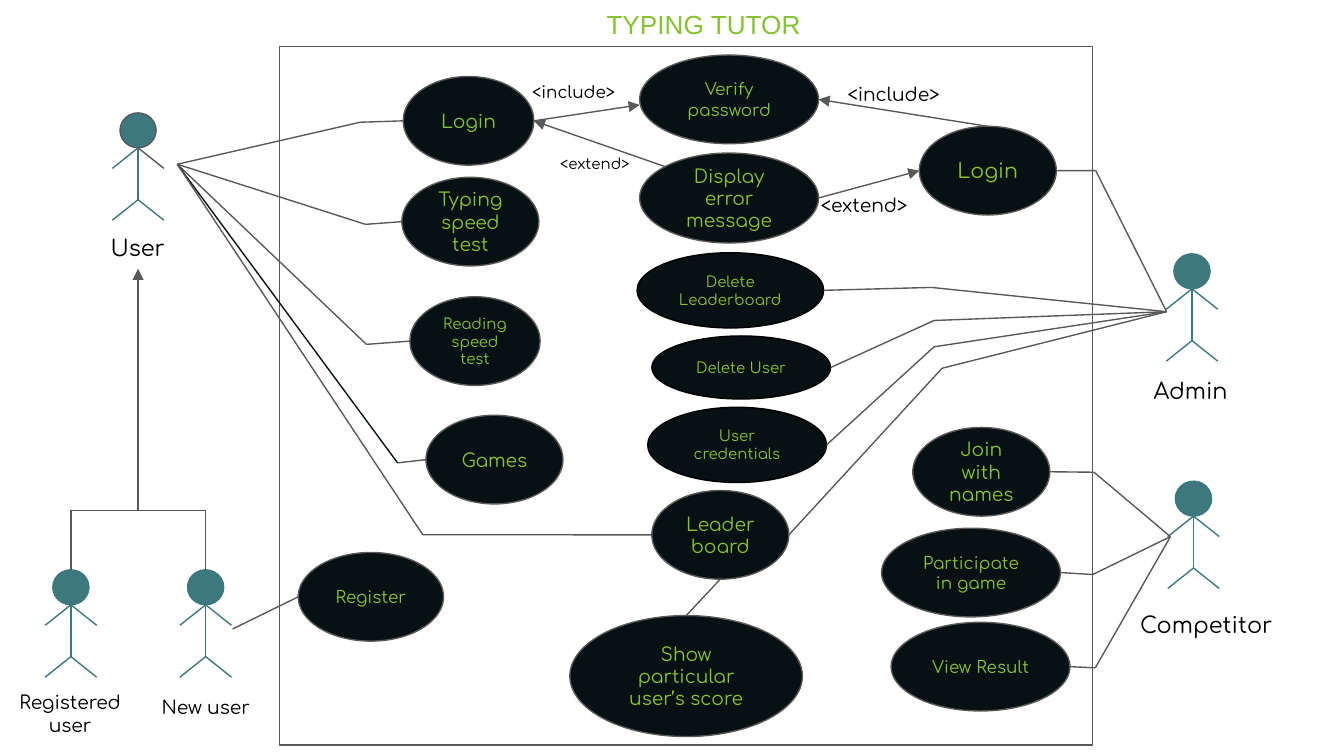
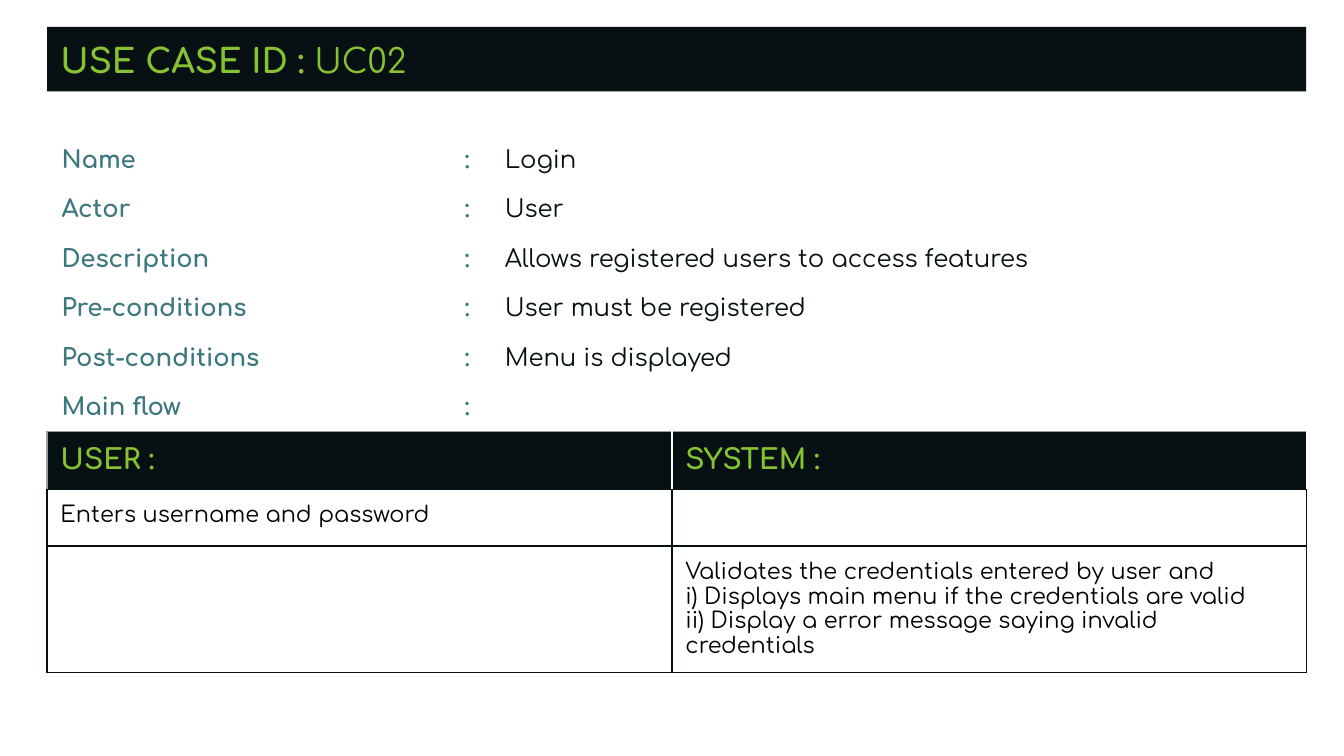
from lxml import etree
from pptx import Presentation
from pptx.dml.color import RGBColor
from pptx.enum import shapes, text
from pptx.oxml.ns import qn
from pptx.util import Pt

DARK, GREEN, TEAL, GREY = "071013", "86C232", "3C787E", "595959"
BLACK, WHITE, SILVER = "000000", "FFFFFF", "9E9E9E"
FONT = "Comfortaa"
LINE_WIDTH = Pt(0.75)
INSET = Pt(7.2)
CENTER, LEFT = text.PP_ALIGN.CENTER, text.PP_ALIGN.LEFT

# key: (text, left, top, width, height, font size, outline)
USE_CASES = {
    "login": ("Login", 216, 41, 70, 47.5, 10, GREY),
    "verify": ("Verify password", 342.7, 29.5, 95.8, 47.5, 9, GREY),
    "error": ("Display error message", 342.7, 82, 95.8, 48.2, 10, GREY),
    "typing": ("Typing speed test", 215.3, 95, 73.4, 47.5, 10, GREY),
    "reading": ("Reading speed test", 219.6, 159, 69.8, 47.5, 8, GREY),
    "games": ("Games", 228.2, 222.5, 73.4, 47.5, 10, GREY),
    "board": ("Leaderboard", 349.2, 262.8, 73.4, 47.5, 10, GREY),
    "admin login": ("Login", 492.5, 67.7, 73.4, 47.5, 11, GREY),
    "register": ("Register", 159.8, 296, 77.8, 47.5, 9, GREY),
    "participate": ("Participate in game", 472.3, 283, 95.8, 47.5, 9, GREY),
    "join": ("Join with names", 489, 229, 73.4, 47.5, 10, GREY),
    "score": ("Show particular user’s score", 305.3, 329.8, 124.6, 64.8, 10, GREY),
    "result": ("View Result", 477.4, 333.4, 95.8, 47.5, 9, GREY),
    "credentials": ("User credentials", 347, 218.2, 95.8, 40.3, 8, BLACK),
    "delete board": ("Delete Leaderboard", 341.3, 135.4, 100, 40.3, 8, BLACK),
    "delete user": ("Delete User", 349.2, 180, 95.8, 33.8, 8, BLACK),
}

# centre, head top, colour of the head outline and right arm
ACTORS = [
    (74, 60.5, GREY),
    (38, 305.3, TEAL),
    (110.2, 305.3, TEAL),
    (638.6, 136, TEAL),
    (639.4, 257.8, TEAL),
]

# text, left, top, width, height, font size, alignment
LABELS = [
    ("<extend>", 293, 75.6, 73.4, 18.7, 8, LEFT),
    ("<include>", 278, 36.7, 71.3, 22.3, 9, LEFT),
    ("<extend>", 432.7, 96.5, 73.4, 18.7, 10, LEFT),
    ("<include>", 447, 37.4, 73.4, 32.4, 10, LEFT),
    ("Registered user", -1.4, 363, 77.8, 23.8, 10, CENTER),
    ("New user", 71.3, 365.8, 77.8, 18, 10, CENTER),
    ("User", 49, 118, 49.7, 15, 12, CENTER),
    ("Admin", 604, 195, 67.7, 15, 12, CENTER),
    ("Competitor", 592.6, 320.4, 107.3, 27.4, 12, CENTER),
]

# Each fan: the actor's hand, the side it joins, then (bend, use case, colour of first leg)
FANS = [
    ((95, 88), "left", [
        ((193, 65.5), "login", GREY),
        ((195.8, 120.2), "typing", GREY),
        ((196.3, 184.5), "reading", GREY),
        ((213, 248), "games", DARK),
        ((226.5, 286.5), "board", GREY),
    ]),
    ((625, 167), "right", [
        ((587, 91.4), "admin login", GREY),
        ((499, 154), "delete board", GREY),
        ((500.4, 171.7), "delete user", GREY),
        ((500.4, 185.8), "credentials", GREY),
        ((504.7, 197.3), "board", GREY),
    ]),
    ((627, 287.5), "right", [
        ((586.1, 253), "join", GREY),
        ((585.4, 307.8), "participate", GREY),
        ((586.8, 357.8), "result", GREY),
    ]),
]

# start, end, arrowhead; a point is (x, y) or (use case, side)
LINKS = [
    ((356.4, 89.3), ("login", "right"), True),
    (("error", "right"), ("admin login", "left"), True),
    (("login", "right"), (342.7, 56.2), True),
    (("admin login", "top"), ("verify", "right"), True),
    ((124.6, 337), ("register", "left"), False),
    (("board", "bottom"), ("score", "top"), False),
    ((110.2, 305.3), (110.2, 273.4), False),
    ((110.2, 273.4), (38, 273.4), False),
    ((38, 305.3), (38, 273.4), False),
    ((74, 273.4), (74, 144), True),
]

DETAILS = [
    ("Name", "Login"),
    ("Actor", "User"),
    ("Description", "Allows registered users to access features"),
    ("Pre-conditions", "User must be registered"),
    ("Post-conditions", "Menu is displayed"),
    ("Main flow", ""),
]
FLOW = [
    ["USER :", "SYSTEM :"],
    ["Enters username and password", ""],
    ["", "Validates the credentials entered by user and\n"
         "i) Displays main menu if the credentials are valid\n"
         "ii) Display a error message saying invalid credentials"],
]
FLOW_COLUMNS = [334.8, 339.8]
FLOW_ROWS = [30.7, 30.4, 67.6]


def rgb(code):
    return RGBColor.from_string(code)


def style(r, size, color, bold=False, font=FONT):
    r.font.name, r.font.size, r.font.bold = font, Pt(size), bold
    r.font.color.rgb = rgb(color)


def write(tf, content, size, color, align=LEFT, bold=False, font=FONT):
    tf.text = content
    for p in tf.paragraphs:
        p.alignment = align
        for r in p.runs:
            style(r, size, color, bold, font)


def set_frame(tf, anchor=text.MSO_ANCHOR.TOP):
    tf.word_wrap = True
    tf.auto_size = text.MSO_AUTO_SIZE.NONE
    tf.vertical_anchor = anchor
    tf.margin_left = tf.margin_right = tf.margin_top = tf.margin_bottom = INSET


def place(sp, *box):
    sp.left, sp.top, sp.width, sp.height = map(Pt, box)


def add_box(s, *box):
    tf = s.shapes.add_textbox(*map(Pt, box)).text_frame
    set_frame(tf)
    return tf


def add_outlined(s, kind, box, fill, line):
    sp = s.shapes.add_shape(kind, *map(Pt, box))
    sp.shadow.inherit = False
    if fill:
        sp.fill.solid()
        sp.fill.fore_color.rgb = rgb(fill)
    else:
        sp.fill.background()
    sp.line.color.rgb, sp.line.width = rgb(line), LINE_WIDTH
    return sp


def add_line(s, start, end, color=GREY, arrow=False):
    cx = s.shapes.add_connector(shapes.MSO_CONNECTOR.STRAIGHT, *map(Pt, start + end))
    cx.line.color.rgb, cx.line.width = rgb(color), LINE_WIDTH
    if arrow:
        etree.SubElement(cx.line._get_or_add_ln(), qn("a:tailEnd"), type="triangle")
    etree.SubElement(cx._element.spPr, qn("a:effectLst"))


def point(x, y):
    """Turn (use case, side) into coordinates; leave coordinates as they are."""
    if x not in USE_CASES:
        return x, y
    left, top, width, height = USE_CASES[x][1:5]
    dx, dy = {"left": (0, 0.5), "right": (1, 0.5), "top": (0.5, 0), "bottom": (0.5, 1)}[y]
    return left + dx * width, top + dy * height


def add_actor(s, x, top, accent):
    add_outlined(s, shapes.MSO_SHAPE.OVAL, (x - 9.7, top, 19.4, 18.7), TEAL, accent)
    neck, hip = (x, top + 18.7), (x, top + 46.5)
    add_line(s, neck, hip, TEAL)
    for joint, right_color in ((neck, accent), (hip, TEAL)):
        for dx, color in ((13.8, right_color), (-13.8, TEAL)):
            add_line(s, joint, (x + dx, joint[1] + 11), color)


def build_diagram(s):
    title = s.shapes.title
    place(title, 197.3, -2.9, 359.3, 27.4)
    set_frame(title.text_frame)
    write(title.text_frame, "TYPING TUTOR", 14, GREEN, CENTER, font="Arial")

    add_outlined(s, shapes.MSO_SHAPE.RECTANGLE, (149.8, 24.8, 435.6, 374.4), None, GREY)
    for actor in ACTORS:
        add_actor(s, *actor)
    for caption, *box, size, outline in USE_CASES.values():
        sp = add_outlined(s, shapes.MSO_SHAPE.OVAL, box, DARK, outline)
        set_frame(sp.text_frame, text.MSO_ANCHOR.MIDDLE)
        write(sp.text_frame, caption, size, GREEN, CENTER)
    for hand, side, legs in FANS:
        for bend, case, color in legs:
            add_line(s, hand, bend, color)
            add_line(s, bend, point(case, side))
    for start, end, arrow in LINKS:
        add_line(s, point(*start), point(*end), arrow=arrow)
    for caption, *box, size, align in LABELS:
        write(add_box(s, *box), caption, size, BLACK, align)


def set_tabs(p, *stops):
    tabs = etree.SubElement(p._p.get_or_add_pPr(), qn("a:tabLst"))
    for stop in stops:
        etree.SubElement(tabs, qn("a:tab"), pos=str(Pt(stop)), algn="l")


def set_borders(cell, left, right, top, bottom):
    tc_pr = cell._tc.get_or_add_tcPr()
    for i, (side, color) in enumerate(zip("LRTB", (left, right, top, bottom))):
        ln = etree.Element(qn("a:ln" + side), w=str(LINE_WIDTH))
        fill = etree.SubElement(ln, qn("a:solidFill"))
        etree.SubElement(fill, qn("a:srgbClr"), val=color)
        tc_pr.insert(i, ln)


def add_flow_table(s):
    table = s.shapes.add_table(len(FLOW), len(FLOW_COLUMNS), Pt(25.2), Pt(231),
                               Pt(sum(FLOW_COLUMNS)), Pt(sum(FLOW_ROWS))).table
    table.first_row = table.horz_banding = False
    for column, width in zip(table.columns, FLOW_COLUMNS):
        column.width = Pt(width)
    for i, (row, height) in enumerate(zip(table.rows, FLOW_ROWS)):
        row.height = Pt(height)
        for j, cell in enumerate(row.cells):
            cell.margin_left = cell.margin_right = INSET
            cell.margin_top = cell.margin_bottom = INSET if FLOW[i][j] else 0
            if i == 0:
                write(cell.text_frame, FLOW[i][j], 15, GREEN, bold=True)
                cell.fill.solid()
                cell.fill.fore_color.rgb = rgb(DARK)
                set_borders(cell, WHITE if j else SILVER, WHITE, SILVER, SILVER)
            else:
                write(cell.text_frame, FLOW[i][j], 12, BLACK)
                cell.fill.background()
                set_borders(cell, DARK, DARK, DARK, DARK)


def build_use_case(s):
    title = s.shapes.title
    place(title, 25.2, 14.4, 674.6, 34.6)
    title.fill.solid()
    title.fill.fore_color.rgb = rgb(DARK)
    set_frame(title.text_frame)
    write(title.text_frame, "USE CASE ID : ", 18, GREEN, bold=True)
    r = title.text_frame.paragraphs[0].add_run()
    r.text = "UC02"
    style(r, 18, GREEN)

    add_flow_table(s)
    tf = add_box(s, 25.9, 59, 668.2, 164.9)
    for i, (name, value) in enumerate(DETAILS):
        p = tf.add_paragraph() if i else tf.paragraphs[0]
        p.line_spacing = 1.7
        set_tabs(p, 216, 237.5)
        p.text = f"{name}\t:"
        style(p.runs[0], 13, TEAL, True)
        if value:
            r = p.add_run()
            r.text = f"\t{value}"
            style(r, 13, DARK)


def main():
    prs = Presentation()
    prs.slide_width, prs.slide_height = Pt(720), Pt(405)
    for build in (build_diagram, build_use_case):
        build(prs.slides.add_slide(prs.slide_layouts[5]))
    prs.save("out.pptx")


if __name__ == "__main__":
    main()
